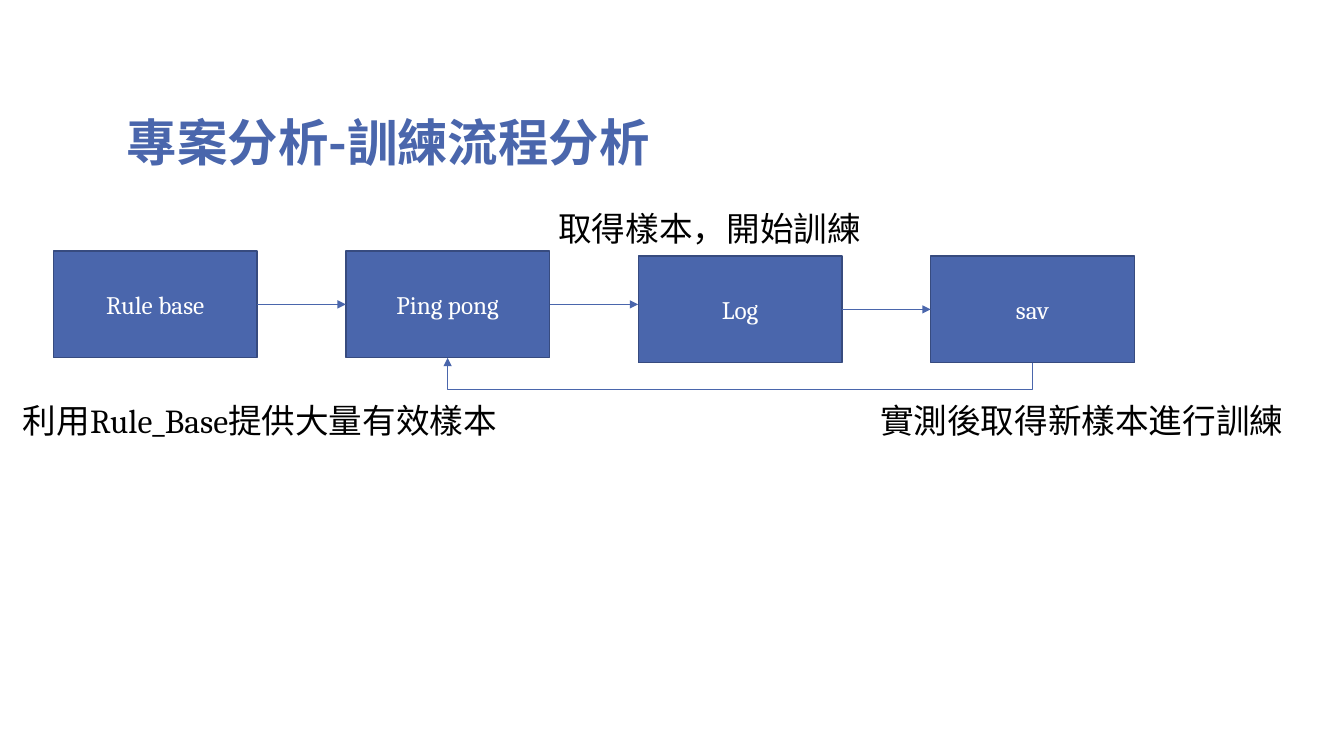
import dataclasses

import pptx
import pptx.dml.color
import pptx.enum.shapes
import pptx.enum.text
import pptx.oxml.ns
import pptx.oxml.xmlchemy
import pptx.util

Inches = pptx.util.Inches
Pt = pptx.util.Pt
qn = pptx.oxml.ns.qn
make = pptx.oxml.xmlchemy.OxmlElement
Align = pptx.enum.text.PP_ALIGN
Anchor = pptx.enum.text.MSO_ANCHOR
Link = pptx.enum.shapes.MSO_CONNECTOR


@dataclasses.dataclass(frozen=True)
class Theme:
    blue: str = "4A66AC"
    edge: str = "374B7F"
    white: str = "FFFFFF"
    black: str = "000000"
    latin: str = "Cambria"
    asian: str = "Noto Sans CJK TC"
    title: int = 36
    note: int = 24
    step: int = 18


THEME = Theme()


def rgb(code):
    return pptx.dml.color.RGBColor.from_string(code)


def write(frame, text, size, color, font=THEME.latin, bold=False):
    """Fill a text frame with one styled paragraph."""
    frame.text = text
    para = frame.paragraphs[0]
    for run in para.runs:
        run.font.size = Pt(size)
        run.font.bold = bold
        run.font.color.rgb = rgb(color)
        run.font.name = font
        # East Asian characters need their own typeface
        asian = make("a:ea")
        asian.set("typeface", THEME.asian)
        run.font._element.find(qn("a:latin")).addnext(asian)
    return para


def add_title(slide, left, top, width, height):
    frame = slide.shapes.add_textbox(
        Inches(left), Inches(top), Inches(width), Inches(height)).text_frame
    frame.word_wrap = True
    frame.vertical_anchor = Anchor.BOTTOM
    para = write(frame, "專案分析-訓練流程分析", THEME.title, THEME.blue,
                 THEME.asian, True)
    para.line_spacing = 0.8


def add_step(slide, text, left, top, width, height):
    box = slide.shapes.add_shape(
        pptx.enum.shapes.MSO_SHAPE.RECTANGLE,
        Inches(left), Inches(top), Inches(width), Inches(height))
    box.shadow.inherit = False
    box.fill.solid()
    box.fill.fore_color.rgb = rgb(THEME.blue)
    box.line.color.rgb = rgb(THEME.edge)
    box.line.width = Pt(1)
    box.text_frame.vertical_anchor = Anchor.MIDDLE
    para = write(box.text_frame, text, THEME.step, THEME.white)
    para.alignment = Align.CENTER


def add_arrow(slide, kind, start, end):
    arrow = slide.shapes.add_connector(
        kind, *(Inches(value) for value in (*start, *end)))
    arrow.line.color.rgb = rgb(THEME.blue)
    arrow.line.width = Pt(0.5)
    head = make("a:tailEnd")
    head.set("type", "triangle")
    props = arrow._element.spPr
    props.find(qn("a:ln")).append(head)
    props.append(make("a:effectLst"))
    return arrow


def add_loop(slide, start, end, drop):
    """Lead back from start to end, running drop below start."""
    midx, midy = (start[0] + end[0]) / 2, (start[1] + end[1]) / 2
    run, rise = start[0] - end[0], start[1] - end[1]
    # The elbow is laid out upright, then turned by a quarter
    loop = add_arrow(slide, Link.ELBOW,
                     (midx + rise / 2, midy - run / 2),
                     (midx - rise / 2, midy + run / 2))
    props = loop._element.spPr
    props.find(qn("a:xfrm")).set("rot", str(90 * 60000))
    bend = make("a:gd")
    bend.set("name", "adj1")
    bend.set("fmla", f"val {round(-drop / rise * 100000)}")
    props.find(qn("a:prstGeom")).find(qn("a:avLst")).append(bend)


def add_flow(slide, left, top, width, height):
    """Four steps in a row, the last two a little lower."""
    wide, high, low = 2.02, height, 0.05
    names = ("Rule base", "Ping pong", "Log", "sav")
    pitch = (width - wide) / (len(names) - 1)
    spots = [(left + i * pitch, top + low * (i // 2))
             for i in range(len(names))]
    for name, (x, y) in zip(names, spots):
        add_step(slide, name, x, y, wide, high)

    # Arrows between neighbours
    for (x, y), (after, _) in zip(spots, spots[1:]):
        level = y + high / 2
        add_arrow(slide, Link.STRAIGHT, (x + wide, level), (after, level))

    # Way back from the last step to the second
    last, second = [(x + wide / 2, y + high)
                    for x, y in (spots[3], spots[1])]
    add_loop(slide, last, second, 0.26)


def add_note(slide, text, left, top, width, height=0.5):
    frame = slide.shapes.add_textbox(
        Inches(left), Inches(top), Inches(width), Inches(height)).text_frame
    frame.word_wrap = False
    write(frame, text, THEME.note, THEME.black)


def main():
    deck = pptx.Presentation()
    deck.slide_width, deck.slide_height = Inches(13.33), Inches(7.5)
    slide = deck.slides.add_slide(deck.slide_layouts[6])

    add_title(slide, 1.16, 0.58, 9.5, 1.17)
    add_flow(slide, 0.53, 2.49, 10.72, 1.06)

    # Notes around the flow
    add_note(slide, "取得樣本，開始訓練", 5.44, 2.01, 3.23)
    add_note(slide, "利用Rule_Base提供大量有效樣本", 0.13, 3.92, 5.1)
    add_note(slide, "實測後取得新樣本進行訓練", 8.63, 3.92, 4.24)

    deck.save("out.pptx")


if __name__ == "__main__":
    main()
